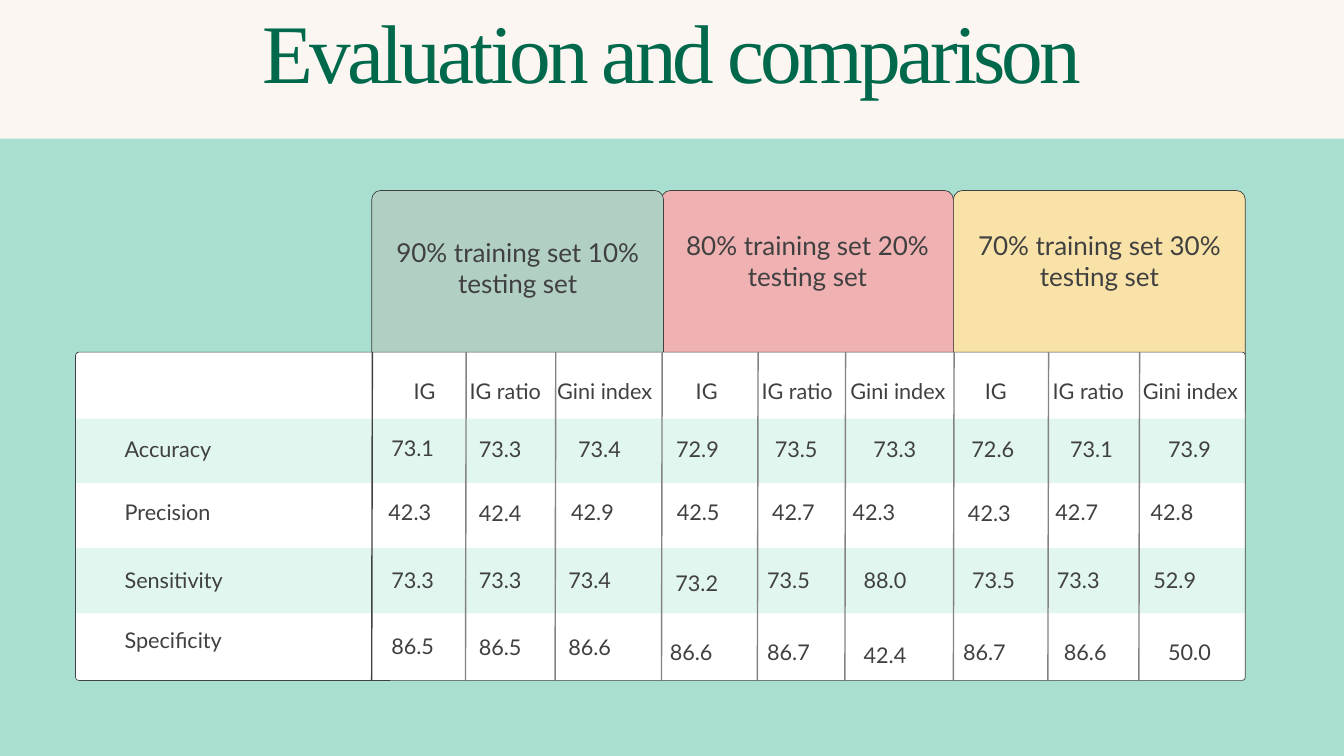
from lxml import etree
from pptx import Presentation
from pptx.dml.color import RGBColor
from pptx.enum.shapes import MSO_CONNECTOR, MSO_SHAPE
from pptx.enum.text import MSO_ANCHOR, MSO_AUTO_SIZE, PP_ALIGN
from pptx.oxml.ns import qn
from pptx.util import Emu, Pt

RECT, ROUNDED = MSO_SHAPE.RECTANGLE, MSO_SHAPE.ROUNDED_RECTANGLE
STRAIGHT = MSO_CONNECTOR.STRAIGHT
TOP, CENTER, LEFT = MSO_ANCHOR.TOP, PP_ALIGN.CENTER, PP_ALIGN.LEFT
TITLE_ONLY = 5
PX = 9525
WIDTH, HEIGHT = 1920, 1080

COLORS = {
    "mint": "A9DFD0", "cream": "FBF6F1", "title": "00694C", "ink": "404040",
    "rule": "848282", "white": "FFFFFF", "band": "37C690",
    "sage": "B2CFC4", "pink": "EFB1B1", "yellow": "F8E2A8",
}
BAND_ALPHA = 15000

TITLE = "Evaluation and comparison"
# text, colour, first table column below it, space above the text
SPLITS = [
    ("90% training set 10% testing set", "sage", 1, 62),
    ("80% training set 20% testing set", "pink", 4, 52),
    ("70% training set 30% testing set", "yellow", 7, 52),
]
ROWS = [
    ["", *["IG", "IG ratio", "Gini index"] * 3],
    ["Accuracy", "73.1", "73.3", "73.4", "72.9", "73.5", "73.3", "72.6", "73.1", "73.9"],
    ["Precision", "42.3", "42.4", "42.9", "42.5", "42.7", "42.3", "42.3", "42.7", "42.8"],
    ["Sensitivity", "73.3", "73.3", "73.4", "73.2", "73.5", "88.0", "73.5", "73.3", "52.9"],
    ["Specificity", "86.5", "86.5", "86.6", "86.6", "86.7", "42.4", "86.7", "86.6", "50.0"],
]
COL_EDGES = [108, 531, 665, 793, 945, 1082, 1207, 1362, 1497, 1627, 1779]
ROW_EDGES = [503, 598, 690, 783, 876, 972]
TABLE_LEFT, TABLE_TOP = COL_EDGES[0], ROW_EDGES[0]
TABLE_WIDTH = COL_EDGES[-1] - TABLE_LEFT
TABLE_HEIGHT = ROW_EDGES[-1] - TABLE_TOP

# Where each text starts: one list of lefts per row, a top per row and its exceptions
TEXT_LEFTS = [
    [178, 591, 671, 796, 994, 1088, 1215, 1407, 1504, 1633],
    [178, 559, 684, 826, 966, 1107, 1248, 1388, 1529, 1669],
    [178, 555, 684, 816, 967, 1103, 1218, 1383, 1508, 1644],
    [178, 559, 684, 812, 965, 1096, 1234, 1389, 1510, 1648],
    [178, 559, 684, 812, 957, 1096, 1234, 1376, 1520, 1669],
]
TEXT_TOPS = [540, 623, 713, 810, 913]
TOP_EXCEPTIONS = {
    (1, 1): 621, (2, 2): 714, (2, 7): 714, (3, 4): 815,
    (4, 0): 896, (4, 1): 904, (4, 2): 906, (4, 3): 906, (4, 6): 918,
}


def px(n):
    return Emu(n * PX)


def rgb(name):
    return RGBColor.from_string(COLORS[name])


def write(tf, text, font, size, color, spacing, align):
    p = tf.paragraphs[0]
    p.alignment = align
    p.line_spacing = Pt(spacing)
    r = p.add_run()
    r.text = text
    r.font.name, r.font.size = font, Pt(size)
    r.font.color.rgb = rgb(color)
    return r


def add_box(slide, kind, left, top, width, height, fill, line=None):
    sp = slide.shapes.add_shape(kind, px(left), px(top), px(width), px(height))
    sp.shadow.inherit = False
    sp.fill.solid()
    sp.fill.fore_color.rgb = rgb(fill)
    if line:
        sp.line.color.rgb = rgb(line)
        sp.line.width = Pt(0.75)
    else:
        sp.line.fill.background()
    return sp


def set_insets(obj, left=0, top=0, right=0, bottom=0):
    obj.margin_left, obj.margin_top = px(left), px(top)
    obj.margin_right, obj.margin_bottom = px(right), px(bottom)


def add_title(slide, banner):
    title = slide.shapes.title
    banner._element.addnext(title._element)
    title.left, title.top, title.width, title.height = px(-31), px(36), px(1982), px(134)
    tf = title.text_frame
    tf.word_wrap, tf.auto_size, tf.vertical_anchor = True, MSO_AUTO_SIZE.NONE, TOP
    set_insets(tf)
    r = write(tf, TITLE, "Times New Roman", 89.2, "title", 80.3, CENTER)
    r._r.get_or_add_rPr().set("spc", "-410")


def add_split(slide, text, fill, col, space_above):
    sp = add_box(slide, ROUNDED, COL_EDGES[col], 272, 417, 326, fill, "ink")
    sp.adjustments[0] = 0.04
    tf = sp.text_frame
    tf.word_wrap, tf.vertical_anchor = True, TOP
    set_insets(tf, 10, space_above, 10)
    write(tf, text, "Lato", 27.9, "ink", 33.4, CENTER)


def add_panel(slide):
    """Draw the white panel, its tinted bands and the column rules."""
    panel = add_box(slide, ROUNDED, TABLE_LEFT, TABLE_TOP, TABLE_WIDTH, TABLE_HEIGHT,
                    "white", "ink")
    panel.adjustments[0] = 0.01
    for r in range(1, len(ROWS), 2):
        band = add_box(slide, RECT, TABLE_LEFT, ROW_EDGES[r], TABLE_WIDTH,
                       ROW_EDGES[r + 1] - ROW_EDGES[r], "band")
        color = band._element.spPr.find(qn("a:solidFill"))[0]
        etree.SubElement(color, qn("a:alpha")).set("val", str(BAND_ALPHA))
    for i, x in enumerate(COL_EDGES[1:-1]):
        rule = slide.shapes.add_connector(
            STRAIGHT, px(x + 1), px(ROW_EDGES[0]), px(x), px(ROW_EDGES[-1]))
        rule.line.color.rgb = rgb("rule" if i else "ink")
        rule.line.width = Pt(1.5)
        etree.SubElement(rule._element.spPr, qn("a:effectLst"))


def clear_borders(cell):
    tcPr = cell._tc.get_or_add_tcPr()
    for side in "LRTB":
        ln = etree.SubElement(tcPr, qn(f"a:ln{side}"))
        etree.SubElement(ln, qn("a:noFill"))


def add_results(slide):
    frame = slide.shapes.add_table(
        len(ROWS), len(ROWS[0]), px(TABLE_LEFT), px(TABLE_TOP),
        px(TABLE_WIDTH), px(TABLE_HEIGHT))
    table = frame.table
    table.first_row = table.horz_banding = False
    for c, col in enumerate(table.columns):
        col.width = px(COL_EDGES[c + 1] - COL_EDGES[c])
    for r, values in enumerate(ROWS):
        table.rows[r].height = px(ROW_EDGES[r + 1] - ROW_EDGES[r])
        for c, value in enumerate(values):
            cell = table.cell(r, c)
            clear_borders(cell)
            cell.fill.background()
            cell.vertical_anchor = TOP
            top = TOP_EXCEPTIONS.get((r, c), TEXT_TOPS[r])
            set_insets(cell, TEXT_LEFTS[r][c] - COL_EDGES[c], top - ROW_EDGES[r])
            if value:
                write(cell.text_frame, value, "Lato", 23.2, "ink", 27.9, LEFT)


def main():
    prs = Presentation()
    prs.slide_width, prs.slide_height = px(WIDTH), px(HEIGHT)
    slide = prs.slides.add_slide(prs.slide_layouts[TITLE_ONLY])
    slide.background.fill.solid()
    slide.background.fill.fore_color.rgb = rgb("mint")
    banner = add_box(slide, RECT, 0, 0, WIDTH, 198, "cream")
    add_title(slide, banner)
    for split in reversed(SPLITS):
        add_split(slide, *split)
    add_panel(slide)
    add_results(slide)
    prs.save("out.pptx")


if __name__ == "__main__":
    main()
